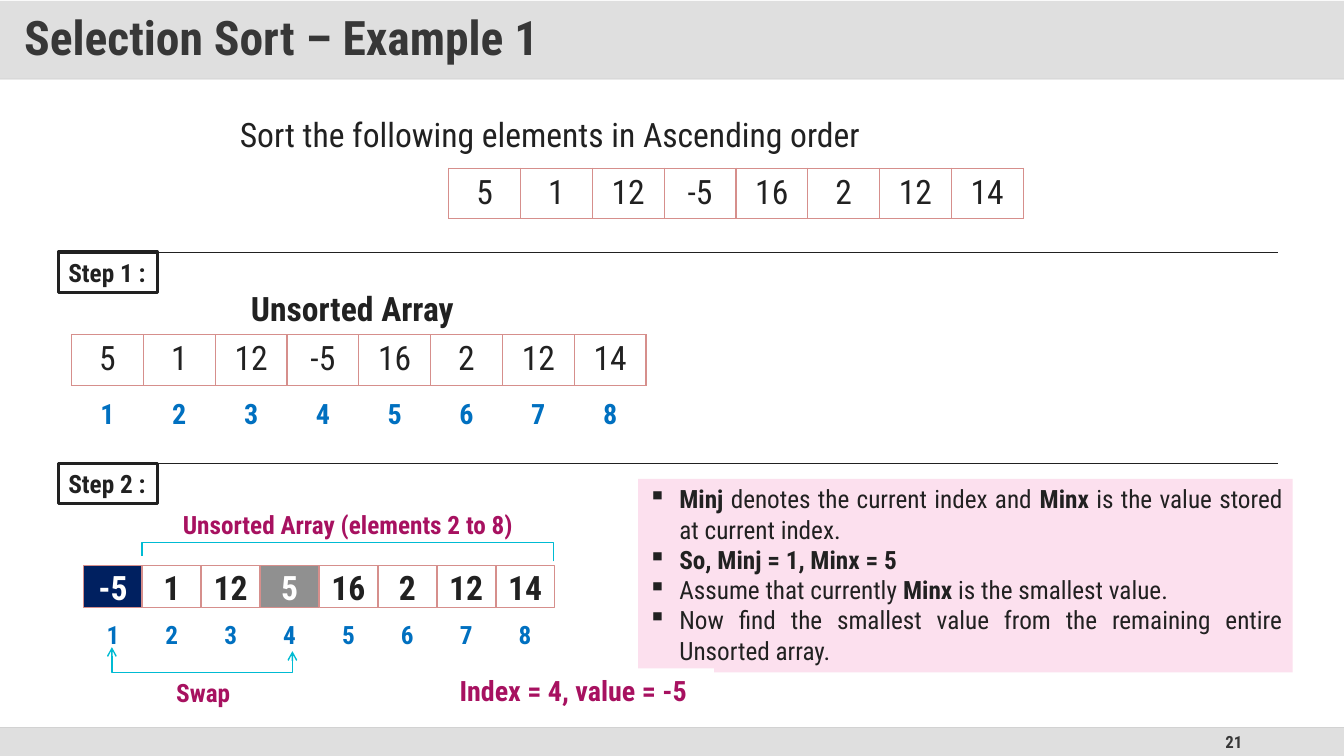
from pptx import Presentation
from pptx.dml.color import RGBColor
from pptx.enum.shapes import MSO_CONNECTOR, MSO_SHAPE
from pptx.enum.text import MSO_ANCHOR, PP_ALIGN
from pptx.oxml.ns import qn
from pptx.util import Inches, Pt
from lxml.etree import SubElement

FONT = "Roboto Condensed"
INK, BLUE, MAGENTA, TEAL, ROSE = "212121", "0070C0", "A71160", "00BBD3", "D68F8C"
color = RGBColor.from_string


def style_text(paragraph, size, ink, bold=False, align=PP_ALIGN.CENTER):
    paragraph.alignment = align
    for run in paragraph.runs:
        run.font.name = FONT
        run.font.size = Pt(size)
        run.font.bold = bold
        run.font.color.rgb = color(ink)


def add_box(left, top, width, height, text="", size=18, ink=INK, bold=True, fill=None,
            line=None, line_width=1, align=PP_ALIGN.CENTER, anchor=MSO_ANCHOR.TOP, wrap=True):
    area = [Inches(value) for value in (left, top, width, height)]
    if fill or line:
        shape = slide.shapes.add_shape(MSO_SHAPE.RECTANGLE, *area)
        shape.shadow.inherit = False
        shape.fill.background()
        shape.line.fill.background()
    else:
        shape = slide.shapes.add_textbox(*area)
    if fill:
        shape.fill.solid()
        shape.fill.fore_color.rgb = color(fill)
    if line:
        shape.line.color.rgb = color(line)
        shape.line.width = Pt(line_width)
    shape.text_frame.word_wrap = wrap
    shape.text_frame.vertical_anchor = anchor
    shape.text_frame.text = text
    style_text(shape.text_frame.paragraphs[0], size, ink, bold, align)
    return shape


presentation = Presentation()
presentation.slide_width = Inches(13.33)
presentation.slide_height = Inches(7.5)
slide = presentation.slides.add_slide(presentation.slide_layouts[5])

# Title bar
title = slide.shapes.title
title.left, title.top, title.width, title.height = (
    Inches(0), Inches(0.01), Inches(13.33), Inches(0.78))
title.fill.solid()
title.fill.fore_color.rgb = color("DFDFDF")
frame = title.text_frame
frame.text = "Selection Sort – Example 1"
frame.vertical_anchor = MSO_ANCHOR.MIDDLE
frame.margin_left = frame.margin_right = Inches(0.24)
frame.margin_top = frame.margin_bottom = Inches(0.12)
frame.paragraphs[0].line_spacing = 0.9
style_text(frame.paragraphs[0], 34, "373737", True, PP_ALIGN.LEFT)

# Footer with page number
add_box(0, 7.22, 13.33, 0.28, fill="DFDFDF")
add_box(9.42, 7.22, 3, 0.28, "21", 12, "373737", align=PP_ALIGN.RIGHT, anchor=MSO_ANCHOR.MIDDLE)

# Horizontal rules: bar edges and step dividers
for left, right, top, ink, width in [
    (0, 13.33, 0.78, "D9D9D9", 1),
    (0, 13.33, 7.22, "D2D2D2", 1),
    (0.58, 12.68, 2.5, INK, 0.5),
    (0.58, 12.68, 4.6, INK, 0.5),
]:
    rule = slide.shapes.add_connector(
        MSO_CONNECTOR.STRAIGHT, Inches(left), Inches(top), Inches(right), Inches(top))
    rule.line.color.rgb = color(ink)
    rule.line.width = Pt(width)
    SubElement(rule.element.spPr, qn("a:effectLst"))

# Step labels and headings
for label, top in [("Step 1 :", 2.5), ("Step 2 :", 4.6)]:
    add_box(0.58, top, 0.98, 0.4, label, line=INK, line_width=2.25,
            align=PP_ALIGN.LEFT, wrap=False)
add_box(2.28, 1.08, 6.75, 0.5, "Sort the following elements in Ascending order", 24,
        bold=False, align=PP_ALIGN.LEFT)
add_box(2.33, 2.81, 2.33, 0.5, "Unsorted Array", 24, wrap=False)

# Array tables and the index row
array = [5, 1, 12, -5, 16, 2, 12, 14]
indexes = range(1, 9)
for left, top, height, values, size, ink, bold, border in [
    (4.45, 1.67, 0.5, array, 24, INK, False, ROSE),
    (0.71, 3.32, 0.5, array, 24, INK, False, ROSE),
    (0.71, 3.9, 0.43, indexes, 20, BLUE, True, None),
]:
    table = slide.shapes.add_table(
        1, 8, Inches(left), Inches(top), Inches(5.7), Inches(height)).table
    table.first_row = table.horz_banding = False
    for column, value in enumerate(values):
        cell = table.cell(0, column)
        cell.text = str(value)
        style_text(cell.text_frame.paragraphs[0], size, ink, bold)
        properties = cell._tc.get_or_add_tcPr()
        for side in ("a:lnL", "a:lnR", "a:lnT", "a:lnB"):
            edge = SubElement(properties, qn(side), w=str(Pt(1)))
            if border:
                SubElement(SubElement(edge, qn("a:solidFill")), qn("a:srgbClr"), val=border)
            else:
                SubElement(edge, qn("a:noFill"))
        cell.fill.background()

# Step 2 array after the swap, with its indexes
highlights = {1: "002060", 4: "909090"}
cell_left, cell_step = 0.83, 0.584
for index, value in zip(indexes, [-5, 1, 12, 5, 16, 2, 12, 14]):
    left = cell_left + (index - 1) * cell_step
    add_box(left, 5.61, 0.58, 0.42, str(value), 24, "FFFFFF" if index in highlights else INK,
            fill=highlights.get(index, "FFFFFF"), line=ROSE, anchor=MSO_ANCHOR.MIDDLE)
    add_box(left, 6.08, 0.58, 0.42, str(index), 18, BLUE, fill="FFFFFF",
            anchor=MSO_ANCHOR.MIDDLE)

# Unsorted bracket and swap arrow
for points, arrows in [
    ([(5.49, 5.57), (5.49, 5.38), (1.41, 5.38), (1.41, 5.52)], False),
    ([(1.11, 6.42), (1.11, 6.67), (2.9, 6.67), (2.9, 6.46)], True),
]:
    corners = [(Inches(x), Inches(y)) for x, y in points]
    builder = slide.shapes.build_freeform(*corners[0])
    builder.add_line_segments(corners[1:], close=False)
    bracket = builder.convert_to_shape()
    bracket.shadow.inherit = False
    bracket.fill.background()
    bracket.line.color.rgb = color(TEAL)
    bracket.line.width = Pt(1)
    if arrows:
        for end in ("a:headEnd", "a:tailEnd"):
            SubElement(bracket.line._get_or_add_ln(), qn(end), type="arrow")
add_box(1.41, 5, 4.08, 0.4, "Unsorted Array (elements 2 to 8)", 18, MAGENTA)
add_box(1.52, 6.67, 0.99, 0.4, "Swap", 18, MAGENTA)

# Explanation: runs as (text, bold)
notes = [
    [("Minj", True), (" denotes the current index and ", False), ("Minx", True),
     (" is the value stored at current index.", False)],
    [("So, Minj = 1, Minx = 5", True)],
    [("Assume that currently ", False), ("Minx", True), (" is the smallest value.", False)],
    [("Now find the smallest value from the remaining entire Unsorted array.", False)],
]
frame = add_box(6.33, 4.75, 6.49, 1.92, fill="FCE0EE").text_frame
for number, parts in enumerate(notes):
    paragraph = frame.add_paragraph() if number else frame.paragraphs[0]
    properties = paragraph._p.get_or_add_pPr()
    properties.set("marL", str(Inches(0.31)))
    properties.set("indent", str(-Inches(0.31)))
    SubElement(properties, qn("a:buChar"), char="▪")
    for text, bold in parts:
        paragraph.add_run().text = text
    style_text(paragraph, 18, INK, align=PP_ALIGN.JUSTIFY)
    for run, (text, bold) in zip(paragraph.runs, parts):
        run.font.bold = bold

# Result of the search
add_box(4.46, 6.63, 2.62, 0.44, "Index = 4, value = -5", 20, MAGENTA, fill="FFFFFF",
        align=PP_ALIGN.LEFT)

presentation.save("out.pptx")
